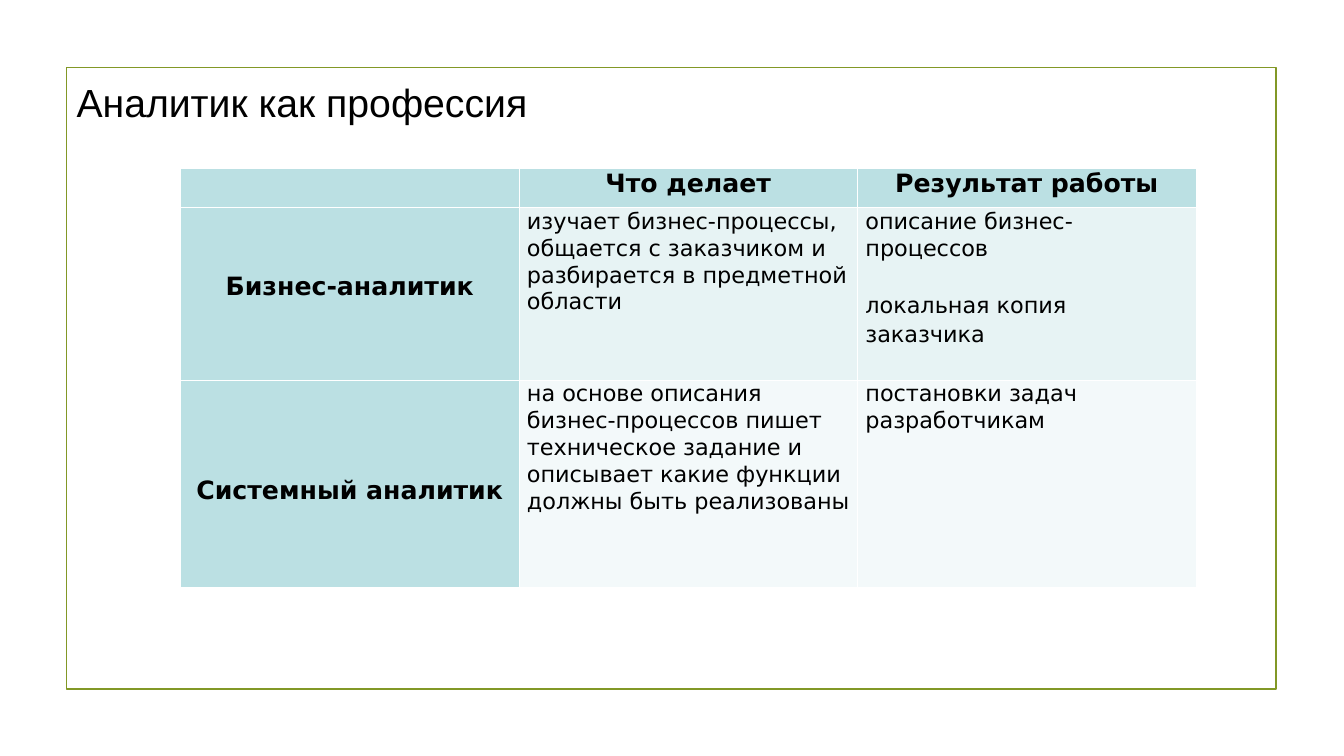
from lxml.etree import SubElement
from pptx import Presentation
from pptx.dml.color import RGBColor
from pptx.enum.shapes import MSO_SHAPE
from pptx.enum.text import MSO_ANCHOR, MSO_AUTO_SIZE, PP_ALIGN
from pptx.oxml.ns import qn
from pptx.util import Cm, Pt

TITLE = "Аналитик как профессия"
ROWS = [
    ("", "Что делает", "Результат работы"),
    (
        "Бизнес-аналитик",
        "изучает бизнес-процессы, общается с заказчиком и разбирается в предметной области",
        "описание бизнес-процессов\nлокальная копия заказчика",
    ),
    (
        "Системный аналитик",
        "на основе описания бизнес-процессов пишет техническое задание и "
        "описывает какие функции должны быть реализованы",
        "постановки задач разработчикам",
    ),
]
HIGH = [0.99, 4.34, 5.23]
DROP = [0, 1.59, 2.41]
WIDE = 8.53
INK = {
    "text": "000000",
    "frame": "829826",
    "edge": "FFFFFF",
    "head": "BBE0E3",
    "odd": "E7F3F4",
    "even": "F3F9FA",
}


def tint(name):
    return RGBColor.from_string(INK[name])


def style(para, size, face, bold=False):
    for run in para.runs:
        run.font.size = Pt(size)
        run.font.name = face
        run.font.bold = bold
        run.font.color.rgb = tint("text")


def border(cell, sides):
    prop = cell._tc.get_or_add_tcPr()
    for side, width in sides.items():
        line = SubElement(prop, qn("a:ln" + side), w=str(Pt(width)))
        fill = SubElement(line, qn("a:solidFill"))
        SubElement(fill, qn("a:srgbClr"), val=INK["edge"])


def add_frame(slide):
    frame = slide.shapes.add_shape(
        MSO_SHAPE.RECTANGLE, Cm(1.68), Cm(1.7), Cm(30.48), Cm(15.67)
    )
    frame.shadow.inherit = False
    frame.fill.background()
    frame.line.color.rgb = tint("frame")
    frame.line.width = Pt(1.25)


def add_title(slide):
    box = slide.shapes.add_textbox(Cm(1.93), Cm(1.96), Cm(30.48), Cm(1.19))
    frame = box.text_frame
    frame.word_wrap = True
    frame.auto_size = MSO_AUTO_SIZE.SHAPE_TO_FIT_TEXT
    frame.vertical_anchor = MSO_ANCHOR.MIDDLE
    frame.margin_left = frame.margin_right = 0
    frame.margin_top = frame.margin_bottom = 0
    frame.text = TITLE
    style(frame.paragraphs[0], 28, "Arial")


def fill_cell(cell, text, row, col):
    head = row == 0 or col == 0
    cell.margin_left = cell.margin_right = Cm(0.2)
    cell.margin_top = Cm(DROP[row] if col == 0 else 0)
    cell.margin_bottom = 0
    cell.text_frame.text = text
    for spot, para in enumerate(cell.text_frame.paragraphs):
        para.alignment = PP_ALIGN.CENTER if head else PP_ALIGN.LEFT
        para.line_spacing = 1.11 if spot else 1.04
        if spot:
            para.space_before = Pt(20.7)
        style(para, 18 if head else 16, "DejaVu Sans", head)
    top = 0.75 if row == 1 else 0.23
    low = 0.75 if row == 0 else 0.23
    border(cell, {"L": 0.23, "R": 0.23, "T": top, "B": low})
    cell.fill.solid()
    cell.fill.fore_color.rgb = tint("head" if head else "odd" if row % 2 else "even")


def add_grid(slide):
    count = len(ROWS[0])
    grid = slide.shapes.add_table(
        len(ROWS), count, Cm(4.55), Cm(4.24), Cm(WIDE * count), Cm(sum(HIGH))
    ).table
    for col in grid.columns:
        col.width = Cm(WIDE)
    for row, texts in enumerate(ROWS):
        grid.rows[row].height = Cm(HIGH[row])
        for col, text in enumerate(texts):
            fill_cell(grid.cell(row, col), text, row, col)


def main():
    """Build the slide on the analyst profession."""
    deck = Presentation()
    deck.slide_width = Cm(33.87)
    deck.slide_height = Cm(19.05)
    slide = deck.slides.add_slide(deck.slide_layouts[6])
    add_frame(slide)
    add_title(slide)
    add_grid(slide)
    deck.save("out.pptx")


if __name__ == "__main__":
    main()
